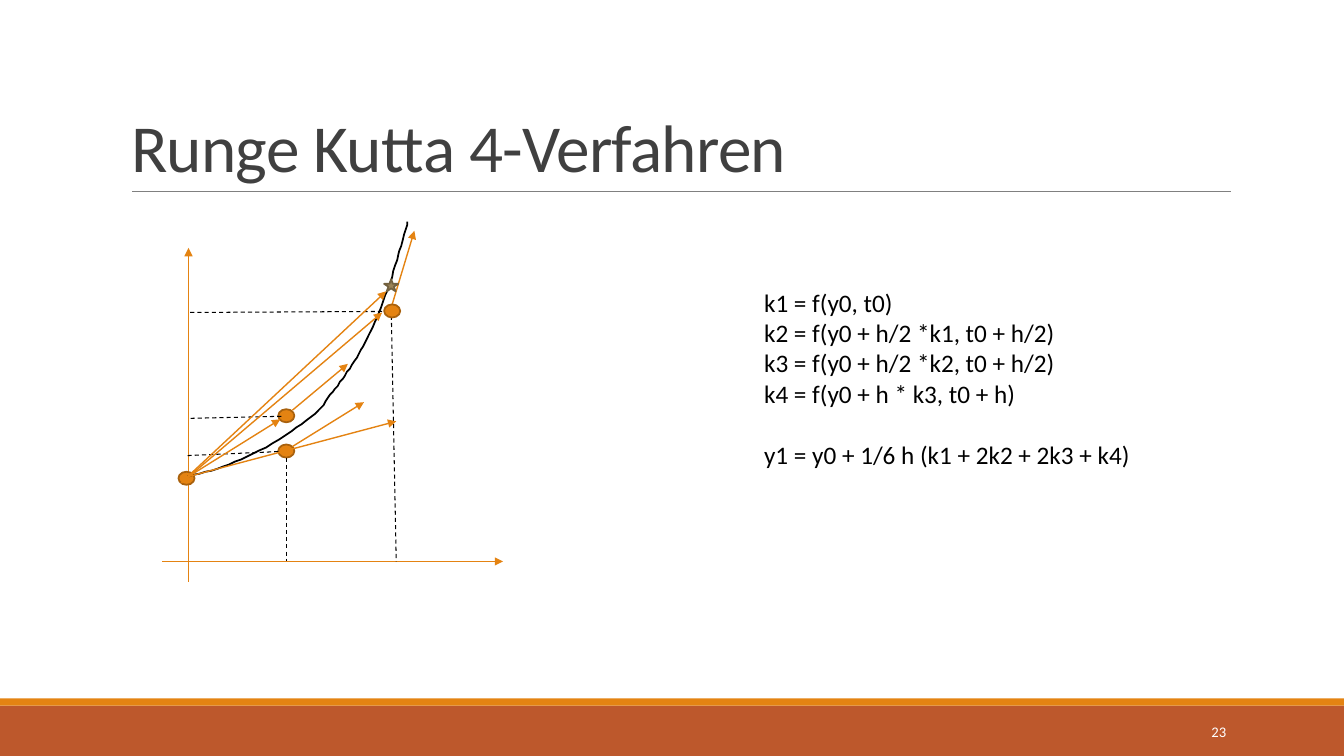
"""Build the slide on the fourth-order Runge-Kutta method."""
from lxml.etree import SubElement
from pptx import Presentation
from pptx.dml.color import RGBColor
from pptx.enum.dml import MSO_LINE
from pptx.enum.shapes import MSO_CONNECTOR, MSO_SHAPE
from pptx.enum.text import MSO_ANCHOR, MSO_AUTO_SIZE, PP_ALIGN
from pptx.oxml.ns import qn
from pptx.util import Pt

PX = 9144
ORANGE, RUST, BLACK, WHITE = "E48312", "BD582C", "000000", "FFFFFF"
DOT_W, DOT_H = 16, 13

CURVE_START = (186, 473)
CURVE = [
    ((206, 468), (225, 463), (245, 453)),
    ((265, 444), (290, 429), (304, 417)),
    ((319, 406), (324, 397), (332, 386)),
    ((341, 375), (348, 364), (356, 351)),
    ((363, 339), (369, 326), (376, 310)),
    ((383, 293), (391, 268), (395, 253)),
    ((400, 239), (404, 223), (404, 220)),
]
AXES = [(187, 577, 187, 246), (161, 557, 499, 557)]
SLOPES = [
    (186, 473, 393, 418),
    (290, 443, 361, 399),
    (185, 474, 278, 416),
    (290, 407, 345, 361),
    (180, 479, 379, 310),
    (389, 302, 411, 229),
    (186, 473, 383, 289),
]
GUIDES = [
    (284, 454, 284, 557),
    (388, 306, 393, 557),
    (276, 448, 186, 452),
    (279, 413, 189, 415),
    (379, 309, 186, 310),
]
DOTS = [(177, 468), (276, 441), (276, 406)]
END_DOT = (381, 302)
STEPS = [
    "k1 = f(y0, t0)",
    "k2 = f(y0 + h/2 *k1, t0 + h/2)",
    "k3 = f(y0 + h/2 *k2, t0 + h/2)",
    "k4 = f(y0 + h * k3, t0 + h)",
]
RESULT = "y1 = y0 + 1/6 h (k1 + 2k2 + 2k3 + k4)"


def rgb(value):
    """Turn a hex string into a colour."""
    return RGBColor.from_string(value)


def emu(*lengths):
    """Scale px lengths to EMU."""
    return [n * PX for n in lengths]


def add_line(s, ends, color, width, arrow=False, dashed=False):
    """Draw a straight line, optionally dashed or with an arrowhead."""
    sp = s.shapes.add_connector(MSO_CONNECTOR.STRAIGHT, *emu(*ends))
    sp.line.color.rgb = rgb(color)
    sp.line.width = Pt(width)
    if dashed:
        sp.line.dash_style = MSO_LINE.DASH
    sp_pr = sp.line._get_or_add_ln().getparent()
    if arrow:
        SubElement(sp.line._get_or_add_ln(), qn("a:tailEnd"), type="triangle")
    SubElement(sp_pr, qn("a:effectLst"))


def add_figure(s, kind, box, fill, outline=None):
    """Draw a filled preset shape."""
    sp = s.shapes.add_shape(kind, *emu(*box))
    sp.shadow.inherit = False
    sp.fill.solid()
    sp.fill.fore_color.rgb = rgb(fill)
    if outline:
        sp.line.color.rgb = rgb(outline)
        sp.line.width = Pt(1.25)
    else:
        sp.line.fill.background()


def add_dot(s, left, top):
    """Mark an evaluation point."""
    add_figure(s, MSO_SHAPE.OVAL, (left, top, DOT_W, DOT_H), ORANGE, "A9610D")


def bezier(p0, p1, p2, p3, t):
    """Give the point at t on a cubic curve."""
    u = 1 - t
    return tuple(
        u**3 * a + 3 * u * u * t * b + 3 * u * t * t * c + t**3 * d
        for a, b, c, d in zip(p0, p1, p2, p3)
    )


def add_curve(s, start, segments, steps=10):
    """Draw the solution curve through sampled points."""
    points, here = [], start
    for c1, c2, end in segments:
        points += [bezier(here, c1, c2, end, i / steps) for i in range(1, steps + 1)]
        here = end
    builder = s.shapes.build_freeform(*start, scale=PX)
    builder.add_line_segments(points, close=False)
    sp = builder.convert_to_shape()
    sp.shadow.inherit = False
    sp.fill.background()
    sp.line.color.rgb = rgb(BLACK)
    sp.line.width = Pt(1.25)


def format_paragraph(p, size, color):
    """Set the font of a paragraph."""
    p.font.name = "Calibri"
    p.font.size = Pt(size)
    p.font.color.rgb = rgb(color)


def add_text(s, box, lines, size, color):
    """Add a wrapping text box with one paragraph per line."""
    tf = s.shapes.add_textbox(*emu(*box)).text_frame
    tf.word_wrap = True
    tf.text = "\n".join(lines)
    for p in tf.paragraphs:
        format_paragraph(p, size, color)
    return tf


def set_title(s, text):
    """Place and format the title."""
    sp = s.shapes.title
    sp.left, sp.top, sp.width, sp.height = emu(120, 31, 1100, 159)
    tf = sp.text_frame
    tf.text = text
    tf.auto_size = MSO_AUTO_SIZE.NONE
    tf.vertical_anchor = MSO_ANCHOR.BOTTOM
    p = tf.paragraphs[0]
    p.alignment = PP_ALIGN.LEFT
    p.line_spacing = 0.85
    format_paragraph(p, 48, "404040")
    p.runs[0]._r.get_or_add_rPr().set("spc", "-50")


def add_diagram(s):
    """Draw axes, curve, slopes and evaluation points."""
    for ends in AXES:
        add_line(s, ends, ORANGE, 1, arrow=True)
    for dot in DOTS:
        add_dot(s, *dot)
    add_curve(s, CURVE_START, CURVE)
    for ends in GUIDES:
        add_line(s, ends, BLACK, 0.75, dashed=True)
    for ends in SLOPES:
        add_line(s, ends, ORANGE, 1, arrow=True)
    add_figure(s, MSO_SHAPE.STAR_5_POINT, (381, 277, 14, 12), "9B8357", "736140")
    add_dot(s, *END_DOT)


def main():
    """Build and save the slide."""
    prs = Presentation()
    prs.slide_width, prs.slide_height = emu(1333, 750)
    s = prs.slides.add_slide(prs.slide_layouts[5])
    add_figure(s, MSO_SHAPE.RECTANGLE, (0, 700, 1333, 50), RUST)
    add_figure(s, MSO_SHAPE.RECTANGLE, (0, 693, 1333, 7), ORANGE)
    add_line(s, (131, 190, 1221, 190), "808080", 0.5)
    set_title(s, "Runge Kutta 4-Verfahren")
    add_diagram(s)
    tf = add_text(s, (748, 280, 411, 192), STEPS + [RESULT], 18, BLACK)
    tf.paragraphs[-1].space_before = Pt(22)
    tf = add_text(s, (1083, 706, 143, 40), ["23"], 10.5, WHITE)
    tf.vertical_anchor = MSO_ANCHOR.MIDDLE
    tf.paragraphs[0].alignment = PP_ALIGN.RIGHT
    prs.save("out.pptx")


if __name__ == "__main__":
    main()
